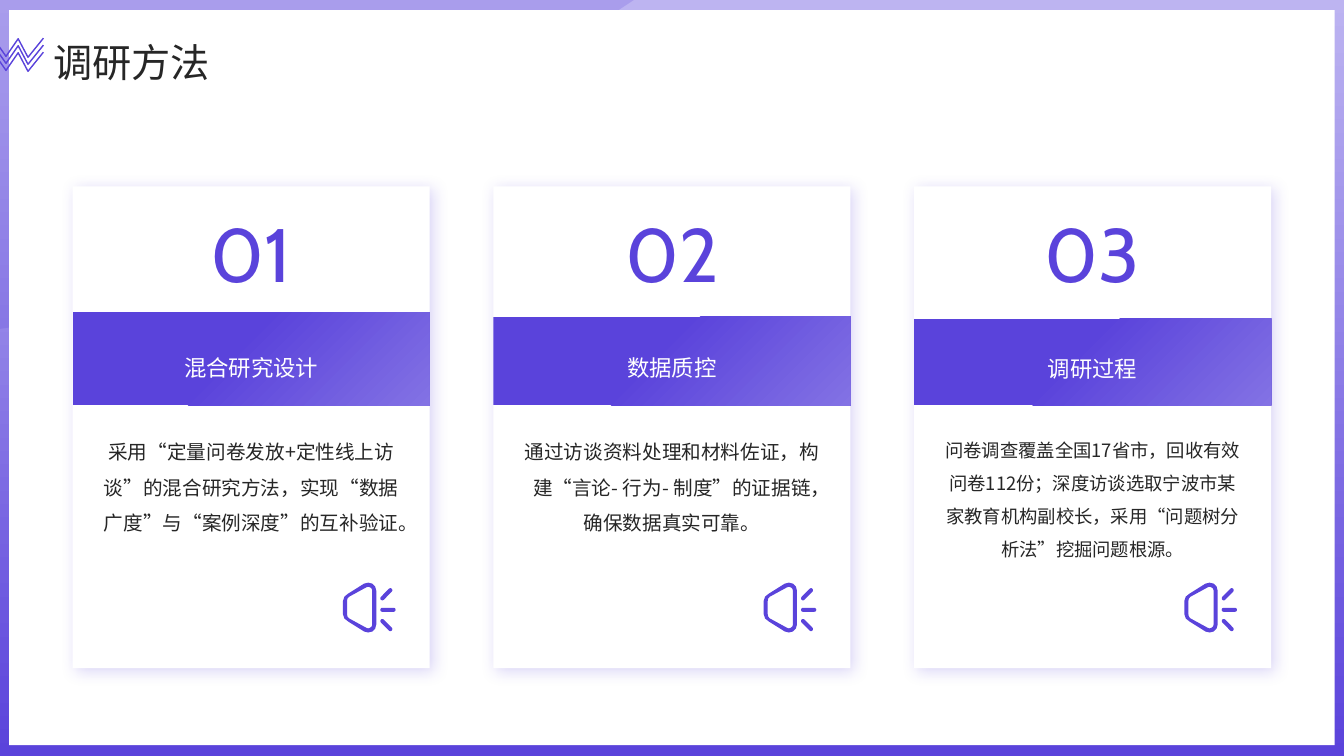
from dataclasses import dataclass
from math import atan2, cos, pi, sin
from lxml.etree import SubElement
from pptx import Presentation
from pptx.dml.color import RGBColor as Rgb
from pptx.enum.shapes import MSO_SHAPE as Kind
from pptx.enum.text import MSO_ANCHOR as Anchor, MSO_AUTO_SIZE as Fit, PP_ALIGN as Align
from pptx.oxml.ns import qn
from pptx.util import Pt


@dataclass(frozen=True)
class Theme:
    """Colours, fonts and type sizes of the slide."""
    main: str = "5A43DB"
    soft: str = "8372E4"
    pale: str = "BDB4F1"
    white: str = "FFFFFF"
    ink: str = "262626"
    font: str = "Noto Sans CJK SC"
    digit: str = "Cabin"
    title: float = 28
    number: float = 54
    label: float = 16
    body: float = 14
    small: float = 13.1


@dataclass(frozen=True)
class Card:
    """Wording and fine placing of one card."""
    number: str
    label: str
    body: str
    size: float
    band: float
    head: float


T = Theme()
WIDTH, HEIGHT = 960, 540
CARDS = [
    Card("01", "混合研究设计",
         "采用“定量问卷发放+定性线上访谈”的混合研究方法，实现“数据广度”与“案例深度”的互补验证。",
         T.body, 90, 99.5),
    Card("02", "数据质控",
         "通过访谈资料处理和材料佐证，构建“言论- 行为- 制度”的证据链，确保数据真实可靠。",
         T.body, 93, 99.5),
    Card("03", "调研过程",
         "问卷调查覆盖全国17省市，回收有效问卷112份；深度访谈选取宁波市某家教育机构副校长，"
         "采用“问题树分析法”挖掘问题根源。",
         T.small, 94.3, 101.5),
]
BLOB = [
    [(429, 16), (415, 23), (406, 27)],
    [(370, 44), (310, 6.5), (271, 17)],
    [(232, 27), (204, 73), (171, 89)],
    [(138, 106), (90, 94), (69, 114)],
    [(48, 135), (62, 189), (44, 210)],
    [(35, 221), (22, 229), (6.5, 234)],
]
OUTER = [(0, 13), (1, 10), (3.6, 7.9), (15.1, 0.7), (18, 0), (20.9, 0.7), (23, 2.8), (23.8, 5.8)]
INNER = [(2.9, 13), (3.2, 11.4), (4.3, 10.1), (16.6, 3.4), (18, 2.9), (19.4, 3.4), (20.5, 4.3), (20.9, 5.8)]
RAYS = [((28.1, 11.2), (33.8, 5.4)), ((28.1, 19.4), (36.1, 19.4)), ((28.1, 27.4), (33.8, 33.2))]
ZIGZAG = [(-33, 16), (-24, 0), (-15, 14), (-4.3, 0.7), (4.3, 13), (13, 0.4), (20, 13.7), (31, 0)]


def rect(slide, x, y, w, h, color=None, stops=None, angle=0):
    """Draw a plain rectangle with a solid or gradient fill."""
    shape = slide.shapes.add_shape(Kind.RECTANGLE, Pt(x), Pt(y), Pt(w), Pt(h))
    shape.line.fill.background()
    shape.shadow.inherit = False
    if stops:
        shape.fill.gradient()
        shape.fill.gradient_angle = angle
        for stop, (place, tone) in zip(shape.fill.gradient_stops, stops):
            stop.position, stop.color.rgb = place, Rgb.from_string(tone)
    else:
        shape.fill.solid()
        shape.fill.fore_color.rgb = Rgb.from_string(color)
    return shape


def glow(shape):
    """Give a shape a soft tinted shadow."""
    effects = shape._element.spPr.find(qn("a:effectLst"))
    outer = SubElement(effects, qn("a:outerShdw"), blurRad=str(Pt(11)), dist=str(Pt(3)),
                       dir="2700000", algn="tl", rotWithShape="0")
    tone = SubElement(outer, qn("a:srgbClr"), val=T.main)
    SubElement(tone, qn("a:alpha"), val="21000")


def style(frame, text, size, color, font, align, space, anchor):
    """Fill a text frame with one formatted paragraph."""
    frame.word_wrap, frame.auto_size = True, Fit.NONE
    frame.vertical_anchor = anchor
    frame.text = text
    para = frame.paragraphs[0]
    para.alignment, para.line_spacing = align, space
    para.font.size, para.font.name = Pt(size), font
    para.font.color.rgb = Rgb.from_string(color)
    SubElement(para.font._rPr, qn("a:ea"), typeface=font)


def write(slide, x, y, w, h, text, size, color, font=T.font, space=1.5, anchor=Anchor.MIDDLE):
    """Add a centred text box without insets."""
    frame = slide.shapes.add_textbox(Pt(x), Pt(y), Pt(w), Pt(h)).text_frame
    frame.margin_left = frame.margin_right = frame.margin_top = frame.margin_bottom = 0
    style(frame, text, size, color, font, Align.CENTER, space, anchor)


def trace(slide, x, y, paths, close=True):
    """Draw one freeform from point lists relative to x, y."""
    build = None
    for path in paths:
        first, *rest = [(Pt(x + a), Pt(y + b)) for a, b in path]
        if build is None:
            build = slide.shapes.build_freeform(*first, scale=1.0)
        else:
            build.move_to(*first)
        build.add_line_segments(rest, close=close)
    shape = build.convert_to_shape()
    shape.shadow.inherit = False
    if close:
        shape.fill.solid()
        shape.fill.fore_color.rgb = Rgb.from_string(T.main)
        shape.line.fill.background()
    else:
        shape.fill.background()
        shape.line.color.rgb = Rgb.from_string(T.main)
        shape.line.width = Pt(1)
    return shape


def curve(start, bends, steps=12):
    """Return points along a chain of cubic curves."""
    points = [start]
    for bend in bends:
        ends = list(zip(points[-1], *bend))
        for step in range(1, steps + 1):
            t = step / steps
            u = 1 - t
            points.append(tuple(a * u**3 + 3 * b * u * u * t + 3 * c * u * t * t + d * t**3
                                for a, b, c, d in ends))
    return points


def ray(start, end, radius=1.45, steps=6):
    """Return the outline of a bar with round ends."""
    turn = atan2(end[1] - start[1], end[0] - start[0])
    return [(x + radius * cos(turn + base + pi * i / steps), y + radius * sin(turn + base + pi * i / steps))
            for (x, y), base in ((end, -pi / 2), (start, pi / 2)) for i in range(steps + 1)]


def horn(slide, x, y, h=35.6):
    """Draw the speaker icon."""
    cones = [half + [(a, h - b) for a, b in reversed(half)] for half in (OUTER, INNER)]
    trace(slide, x, y, cones + [ray(*ends) for ends in RAYS])


def frame(slide, w, h):
    """Draw the gradient border with its wave and white page."""
    rect(slide, 0, 0, w, h, stops=[(0, T.pale), (1, T.main)], angle=270)
    wave = [(-0.7, -1.4), (455, -1.4)] + curve((444, 5.8), BLOB) + [(-0.7, 235)]
    blob = trace(slide, 0, 0, [wave])
    tone = blob._element.spPr.find(qn("a:solidFill"))[0]
    SubElement(tone, qn("a:alpha"), val="20000")
    rect(slide, 6.6, 7.2, w - 13.3, h - 15, T.white)


def panel(slide, card, x, y, w, h):
    """Draw one card in the given box."""
    glow(rect(slide, x, y, w, h, T.white))
    rect(slide, x, y + card.band, w, 156.3 - card.band,
         stops=[(0.44, T.main), (1, T.soft)], angle=315)
    write(slide, x + 23.5, y + card.head, w - 47, 149.7 - card.head, card.label, T.label, T.white)
    write(slide, x + 29.5, y - 32.4, w - 59, 111.6, card.number, T.number, T.main,
          T.digit, 1.1, Anchor.BOTTOM)
    write(slide, x + 22, y + 172.8, w - 44, 98, card.body, card.size, T.ink, anchor=Anchor.TOP)
    horn(slide, x + 193, y + 283)


def header(slide, x, y, w, h):
    """Place the title and the zigzag mark beside it."""
    title = slide.shapes.title
    title.left, title.top, title.width, title.height = Pt(x), Pt(y), Pt(w), Pt(h)
    style(title.text_frame, "调研方法", T.title, T.ink, T.font, Align.LEFT, 1.3, Anchor.MIDDLE)
    title.element.getparent().append(title.element)
    for row in (2, 1, 0):
        trace(slide, x - 31, y + 8.6 + 5 * row, [ZIGZAG], close=False)


def main():
    """Build and save the slide."""
    deck = Presentation()
    deck.slide_width, deck.slide_height = Pt(WIDTH), Pt(HEIGHT)
    slide = deck.slides.add_slide(deck.slide_layouts[5])
    frame(slide, WIDTH, HEIGHT)
    for i, card in enumerate(CARDS):
        panel(slide, card, 52 + 300.5 * i, 133.2, 255, 344)
    header(slide, 31, 18.7, 855, 40.3)
    deck.save("out.pptx")


if __name__ == "__main__":
    main()
